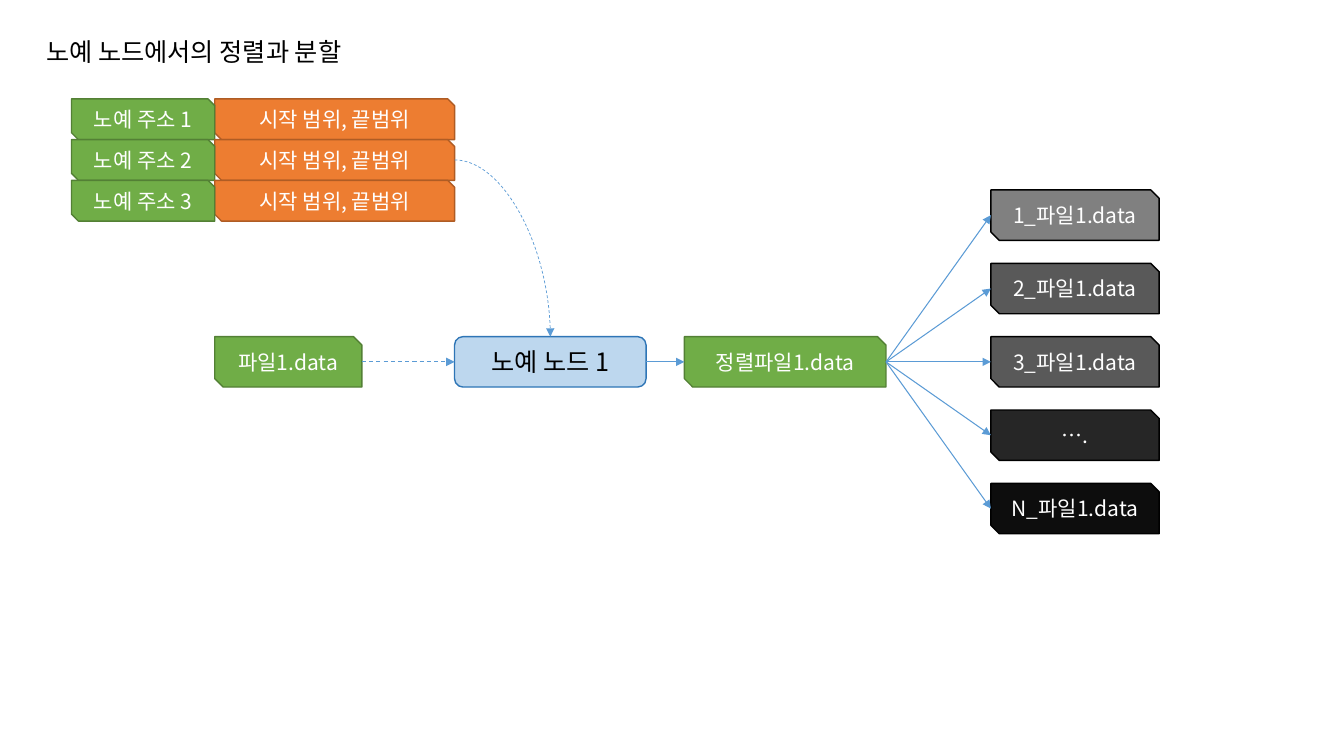
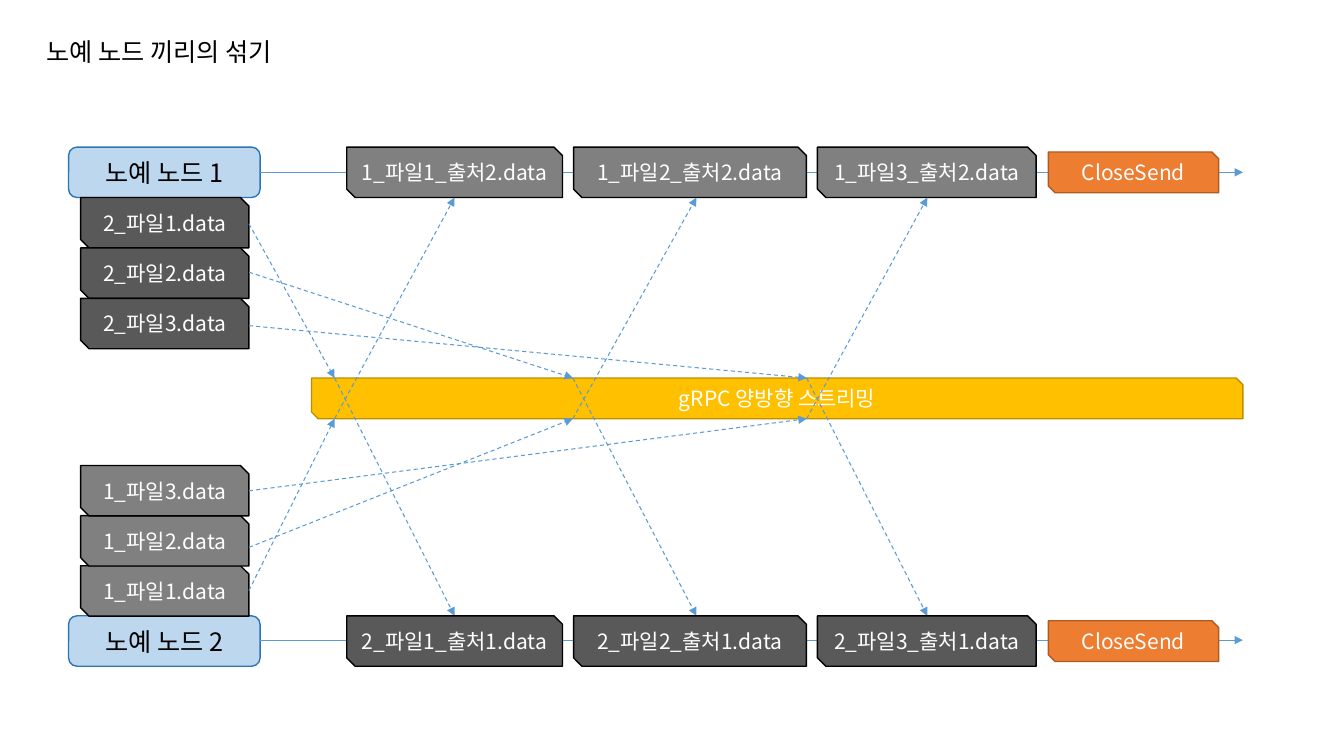
from dataclasses import dataclass
from lxml.etree import SubElement
from pptx import Presentation
from pptx.dml.color import RGBColor
from pptx.enum.dml import MSO_LINE
from pptx.enum.shapes import MSO_CONNECTOR, MSO_SHAPE
from pptx.enum.text import MSO_ANCHOR, MSO_AUTO_SIZE, PP_ALIGN
from pptx.oxml.ns import qn
from pptx.util import Pt

# Content: text, then left and width where they vary
SORT_TITLE = "노예 노드에서의 정렬과 분할"
ADDRESSES = ["노예 주소 1", "노예 주소 2", "노예 주소 3"]
RANGE_TEXT = "시작 범위, 끝범위"
SORT_NODE = "노예 노드 1"
INPUT_FILE, SORTED_FILE = "파일1.data", "정렬파일1.data"
SPLIT_FILES = [
    ("1_파일1.data", "first"),
    ("2_파일1.data", "second"),
    ("3_파일1.data", "second"),
    ("….", "other"),
    ("N_파일1.data", "last"),
]

SHUFFLE_TITLE = "노예 노드 끼리의 섞기"
CHANNEL_TEXT, CLOSE_TEXT = "gRPC 양방향 스트리밍", "CloseSend"
LANES = [
    {"node": "노예 노드 1", "top": 105.12, "axis": 123.1, "step": 36,
     "stored": ("2", "second"), "received": ("1", "first"), "source": 2,
     "starts": (159.8, 194.4, 232.6)},
    {"node": "노예 노드 2", "top": 439.92, "axis": 457.2, "step": -35.8,
     "stored": ("1", "first"), "received": ("2", "second"), "source": 1,
     "starts": (421.9, 391, 350.6)},
]
# Left and width of each received block, crossing point, arrow target
COLUMNS = [
    (247.7, 154.1, 239, 324.7),
    (409.7, 166.3, 409.2, 497.5),
    (583.9, 156.2, 576.2, 662.4),
]


@dataclass(frozen=True)
class Theme:
    """Colours, type sizes and shared measures."""
    font: str = "Noto Sans CJK KR"
    black: str = "000000"
    white: str = "FFFFFF"
    arrow: str = "5B9BD5"
    large: int = 18
    normal: int = 15
    tall: float = 36
    low: float = 29.1
    node_width: float = 136.8
    file_width: float = 120.2


THEME = Theme()
FILLS = {
    "node": ("BDD7EE", "2E75B6"),
    "file": ("70AD47", "538035"),
    "range": ("ED7D31", "AF5C24"),
    "channel": ("FFC000", "BD8E00"),
    "first": ("808080", THEME.black),
    "second": ("595959", THEME.black),
    "other": ("262626", THEME.black),
    "last": ("0D0D0D", THEME.black),
}


def write(frame, text, size, color, align, **frame_format):
    """Put one formatted line of text into a frame."""
    for name, value in {"word_wrap": True, **frame_format}.items():
        setattr(frame, name, value)
    para = frame.paragraphs[0]
    para.alignment = align
    span = para.add_run()
    span.text = text
    for name, value in {"name": THEME.font, "size": Pt(size)}.items():
        setattr(span.font, name, value)
    span.font.color.rgb = RGBColor.from_string(color)
    SubElement(span.font._element, qn("a:ea")).set("typeface", THEME.font)


def add_page(deck, title):
    """Add a blank page with its title."""
    page = deck.slides.add_slide(deck.slide_layouts[6])
    box = page.shapes.add_textbox(Pt(25.9), Pt(22.3), Pt(550.8), Pt(29))
    write(box.text_frame, title, THEME.large, THEME.black, PP_ALIGN.LEFT,
          auto_size=MSO_AUTO_SIZE.SHAPE_TO_FIT_TEXT)
    return page


def add_box(page, text, kind, left, top, width, height=THEME.tall):
    """Add a rounded node or a snipped box with centred text."""
    is_node = kind == "node"
    preset = MSO_SHAPE.ROUNDED_RECTANGLE if is_node else MSO_SHAPE.SNIP_2_DIAG_RECTANGLE
    box = page.shapes.add_shape(preset, Pt(left), Pt(top), Pt(width), Pt(height))
    box.shadow.inherit = False
    fill, outline = FILLS[kind]
    box.fill.solid()
    box.fill.fore_color.rgb = RGBColor.from_string(fill)
    box.line.color.rgb = RGBColor.from_string(outline)
    box.line.width = Pt(1)
    write(box.text_frame, text, THEME.large if is_node else THEME.normal,
          THEME.black if is_node else THEME.white, PP_ALIGN.CENTER,
          vertical_anchor=MSO_ANCHOR.MIDDLE)


def add_arrow(page, start, end, dashed=False, curved=False):
    """Add an arrow between two points."""
    kind = MSO_CONNECTOR.CURVE if curved else MSO_CONNECTOR.STRAIGHT
    arrow = page.shapes.add_connector(kind, *(Pt(value) for value in (*start, *end)))
    properties = arrow._element.spPr
    if curved:
        properties.find(qn("a:prstGeom")).set("prst", "curvedConnector2")
    arrow.line.color.rgb = RGBColor.from_string(THEME.arrow)
    arrow.line.width = Pt(0.5 if curved else 0.75)
    if dashed:
        arrow.line.dash_style = MSO_LINE.DASH
    SubElement(properties.find(qn("a:ln")), qn("a:tailEnd")).set("type", "triangle")
    SubElement(properties, qn("a:effectLst"))


def build_sort(deck):
    """Show one node sorting a file and splitting it."""
    page = add_page(deck, SORT_TITLE)
    top, middle = 240.5, 258.5
    file_left, node_left, sorted_left, split_left = 153.4, 324.7, 488.9, 707.8
    file_width, sorted_width, table_top, table_left = 105.1, 144, 70.6, 51.1
    node_right = node_left + THEME.node_width
    sorted_right = sorted_left + sorted_width

    for row, address in enumerate(ADDRESSES):
        row_top = table_top + row * THEME.low
        add_box(page, RANGE_TEXT, "range", file_left, row_top,
                node_left - file_left, THEME.low)
        add_box(page, address, "file", table_left, row_top,
                file_left - table_left, THEME.low)
    add_box(page, SORT_NODE, "node", node_left, top, THEME.node_width)
    add_box(page, INPUT_FILE, "file", file_left, top, file_width)
    add_box(page, SORTED_FILE, "file", sorted_left, top, sorted_width)
    add_arrow(page, (file_left + file_width, middle), (node_left, middle), dashed=True)
    add_arrow(page, (node_left, table_top + 1.5 * THEME.low),
              (node_left + THEME.node_width / 2, top), dashed=True, curved=True)
    add_arrow(page, (node_right, middle), (sorted_left, middle))

    for index, (text, kind) in enumerate(SPLIT_FILES):
        shift = (index - len(SPLIT_FILES) // 2) * 52.4
        add_box(page, text, kind, split_left, top + shift, THEME.file_width)
        add_arrow(page, (sorted_right, middle), (split_left, middle + shift))


def build_shuffle(deck):
    """Show two nodes exchanging files through one channel."""
    page = add_page(deck, SHUFFLE_TITLE)
    node_left, file_left, channel_left, right = 49, 57.6, 222.5, 887.8
    close_left, close_width = 748.8, 121.7
    channel_top = 270
    channel_bottom = channel_top + THEME.low
    file_right = file_left + THEME.file_width
    add_box(page, CHANNEL_TEXT, "channel", channel_left, channel_top,
            right - channel_left, THEME.low)

    for lane, opposite in zip(LANES, reversed(LANES)):
        top, down = lane["top"], lane["step"] > 0
        near, far = (channel_top, channel_bottom) if down else (channel_bottom, channel_top)
        target_y = opposite["top"] + (0 if down else THEME.tall)
        add_box(page, lane["node"], "node", node_left, top, THEME.node_width)
        add_arrow(page, (node_left + THEME.node_width, lane["axis"]), (right, lane["axis"]))
        add_box(page, CLOSE_TEXT, "range", close_left,
                top + (THEME.tall - THEME.low) / 2, close_width, THEME.low)

        stored, stored_kind = lane["stored"]
        received, received_kind = lane["received"]
        for number, (left, width, cross, target) in enumerate(COLUMNS, 1):
            add_box(page, f"{stored}_파일{number}.data", stored_kind, file_left,
                    top + number * lane["step"], THEME.file_width)
            add_box(page, f"{received}_파일{number}_출처{lane['source']}.data",
                    received_kind, left, top, width)
            add_arrow(page, (file_right, lane["starts"][number - 1]), (cross, near),
                      dashed=True)
            add_arrow(page, (cross, near), (target, target_y), dashed=True)


deck = Presentation()
deck.slide_width, deck.slide_height = Pt(960), Pt(540)
build_sort(deck)
build_shuffle(deck)
deck.save("out.pptx")
